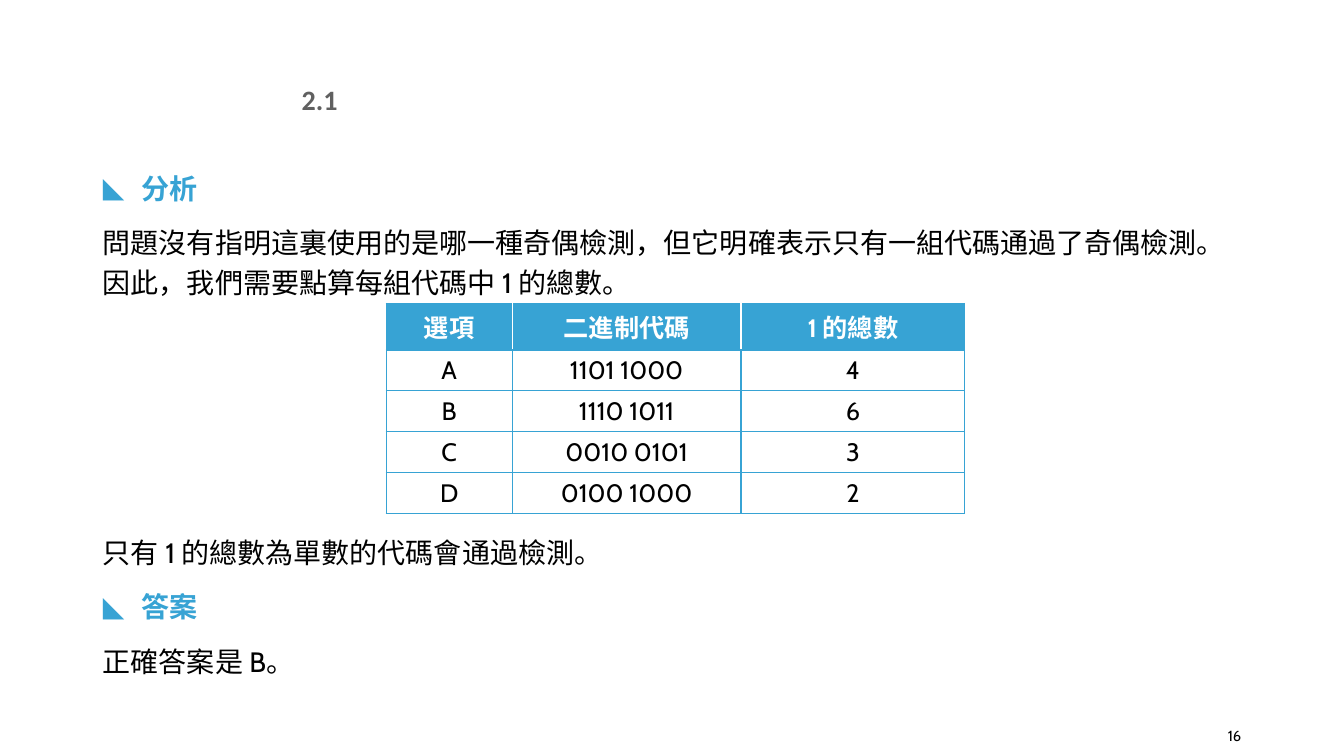
"""Builds the parity check answer slide."""
from dataclasses import dataclass

from lxml.etree import SubElement
from pptx import Presentation
from pptx.dml.color import RGBColor
from pptx.enum.text import MSO_ANCHOR, MSO_AUTO_SIZE, PP_ALIGN
from pptx.oxml.ns import qn
from pptx.util import Pt

PX = 9144


@dataclass(frozen=True)
class Theme:
    """Colours, fonts and type sizes of the slide."""
    accent: str = "37A3D4"
    ink: str = "000000"
    grey: str = "606060"
    white: str = "FFFFFF"
    font: str = "Cabin"
    title_font: str = "Calibri"
    body: float = 20
    cell: float = 18
    number: float = 10.5


T = Theme()
TABLE_GAP = 164
BODY = [
    ("分析", True, 0),
    ("問題沒有指明這裏使用的是哪一種奇偶檢測，但它明確表示只有一組代碼通過了奇偶檢測。"
     "因此，我們需要點算每組代碼中 1 的總數。", False, 10),
    ("只有 1 的總數為單數的代碼會通過檢測。", False, TABLE_GAP),
    ("答案", True, 10),
    ("正確答案是 B。", False, 10),
]
ROWS = [
    ("選項", "二進制代碼", "1 的總數"),
    ("A", "1101 1000", "4"),
    ("B", "1110 1011", "6"),
    ("C", "0010 0101", "3"),
    ("D", "0100 1000", "2"),
]
COLUMNS = (125, 227, 222)


def emu(box):
    """Turn a px box into EMU lengths."""
    return [v * PX for v in box]


def place(sp, box):
    """Move a shape to a px box."""
    sp.left, sp.top, sp.width, sp.height = emu(box)


def style(p, size, color, bold=False, font=T.font, align=PP_ALIGN.LEFT):
    """Format the runs of a paragraph."""
    p.alignment = align
    for r in p.runs:
        r.font.size, r.font.bold, r.font.name = Pt(size), bold, font
        r.font.color.rgb = RGBColor.from_string(color)


def add_line(sp, box, text, **look):
    """Fill a shape with one line of vertically centred text."""
    place(sp, box)
    tf = sp.text_frame
    tf.text = text
    tf.word_wrap = False
    tf.auto_size = MSO_AUTO_SIZE.NONE
    tf.vertical_anchor = MSO_ANCHOR.MIDDLE
    style(tf.paragraphs[0], **look)


def set_bullet(p, heading):
    """Give headings a triangle bullet and other paragraphs none."""
    pPr = p._p.get_or_add_pPr()
    indent = 38 * PX if heading else 0
    pPr.set("marL", str(indent))
    pPr.set("indent", str(-indent))
    if heading:
        SubElement(pPr, qn("a:buChar")).set("char", "◣")
    else:
        SubElement(pPr, qn("a:buNone"))


def add_body(sp, box):
    """Write the analysis and the answer, leaving room for the table."""
    place(sp, box)
    tf = sp.text_frame
    tf.word_wrap = True
    tf.auto_size = MSO_AUTO_SIZE.NONE
    tf.vertical_anchor = MSO_ANCHOR.TOP
    for i, (text, heading, before) in enumerate(BODY):
        p = tf.add_paragraph() if i else tf.paragraphs[0]
        p.text = text
        set_bullet(p, heading)
        p.line_spacing, p.space_before = 1.2, Pt(before)
        style(p, T.body, T.accent if heading else T.ink, heading)


def set_borders(cell, left, right):
    """Draw the four cell borders, with given colours at the sides."""
    tcPr = cell._tc.get_or_add_tcPr()
    colors = {"L": left, "R": right, "T": T.accent, "B": T.accent}
    for side, color in colors.items():
        ln = SubElement(tcPr, qn(f"a:ln{side}"), w=str(Pt(1)))
        fill = SubElement(ln, qn("a:solidFill"))
        SubElement(fill, qn("a:srgbClr"), val=color)


def add_code_table(s, box):
    """Add the table of codes and their counts of ones."""
    table = s.shapes.add_table(len(ROWS), len(COLUMNS), *emu(box)).table
    for column, width in zip(table.columns, COLUMNS):
        column.width = width * PX
    last = len(COLUMNS) - 1
    for i, row in enumerate(ROWS):
        header = i == 0
        inner = T.white if header else T.accent
        for j, text in enumerate(row):
            cell = table.cell(i, j)
            cell.text = text
            set_borders(cell, inner if j else T.accent,
                        inner if j < last else T.accent)
            if header:
                cell.fill.solid()
                cell.fill.fore_color.rgb = RGBColor.from_string(T.accent)
            else:
                cell.fill.background()
            style(cell.text_frame.paragraphs[0], T.cell,
                  T.white if header else T.ink, header,
                  align=PP_ALIGN.CENTER)


def add_answer_slide(prs):
    """Compose the answer slide."""
    s = prs.slides.add_slide(prs.slide_layouts[1])
    add_body(s.placeholders[1], (92, 158, 1150, 531))
    add_line(s.shapes.title, (270, 83, 94, 31), "2.1", size=T.body,
             color=T.grey, bold=True, font=T.title_font,
             align=PP_ALIGN.CENTER)
    number_box = (1157, 710, 84, 40)
    add_line(s.shapes.add_textbox(*emu(number_box)), number_box, "16",
             size=T.number, color=T.ink, align=PP_ALIGN.RIGHT)
    add_code_table(s, (383, 301, sum(COLUMNS), 40 * len(ROWS)))


def main():
    """Build and save the presentation."""
    prs = Presentation()
    prs.slide_width, prs.slide_height = emu((1333, 750))
    add_answer_slide(prs)
    prs.save("out.pptx")


if __name__ == "__main__":
    main()
